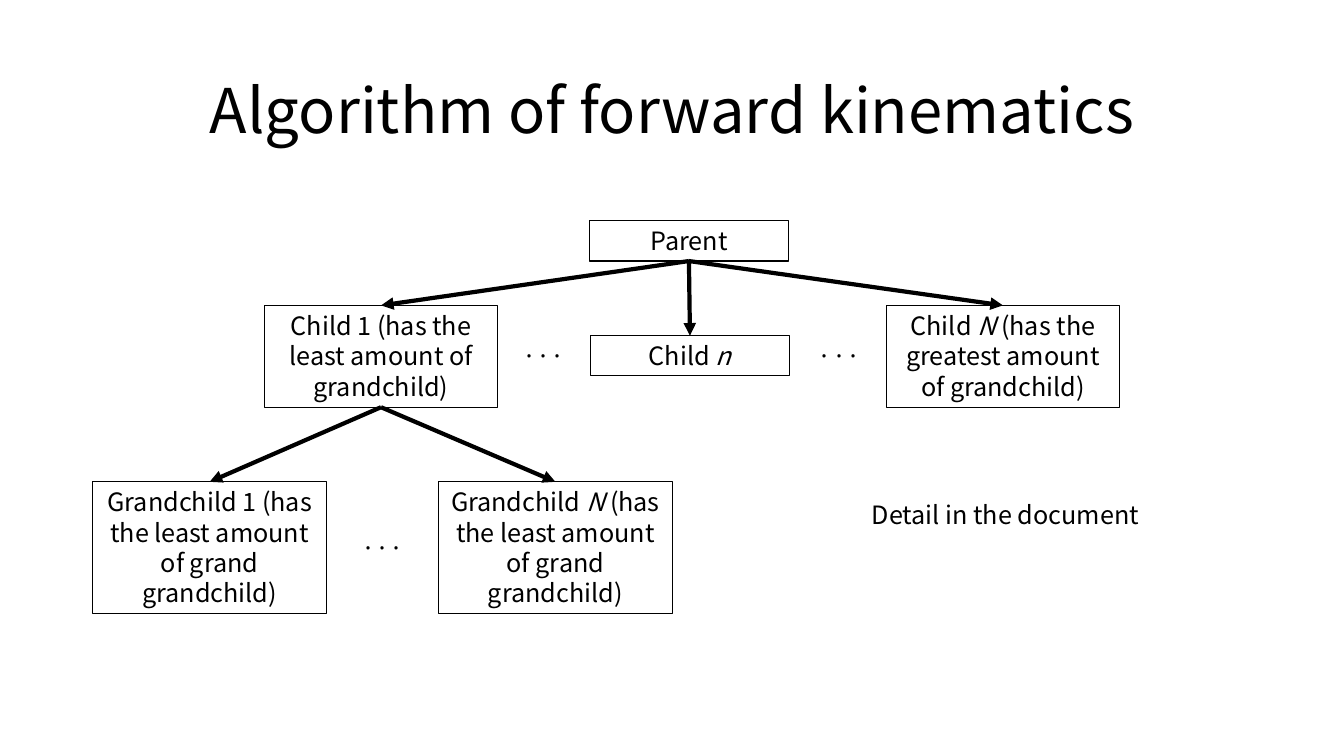
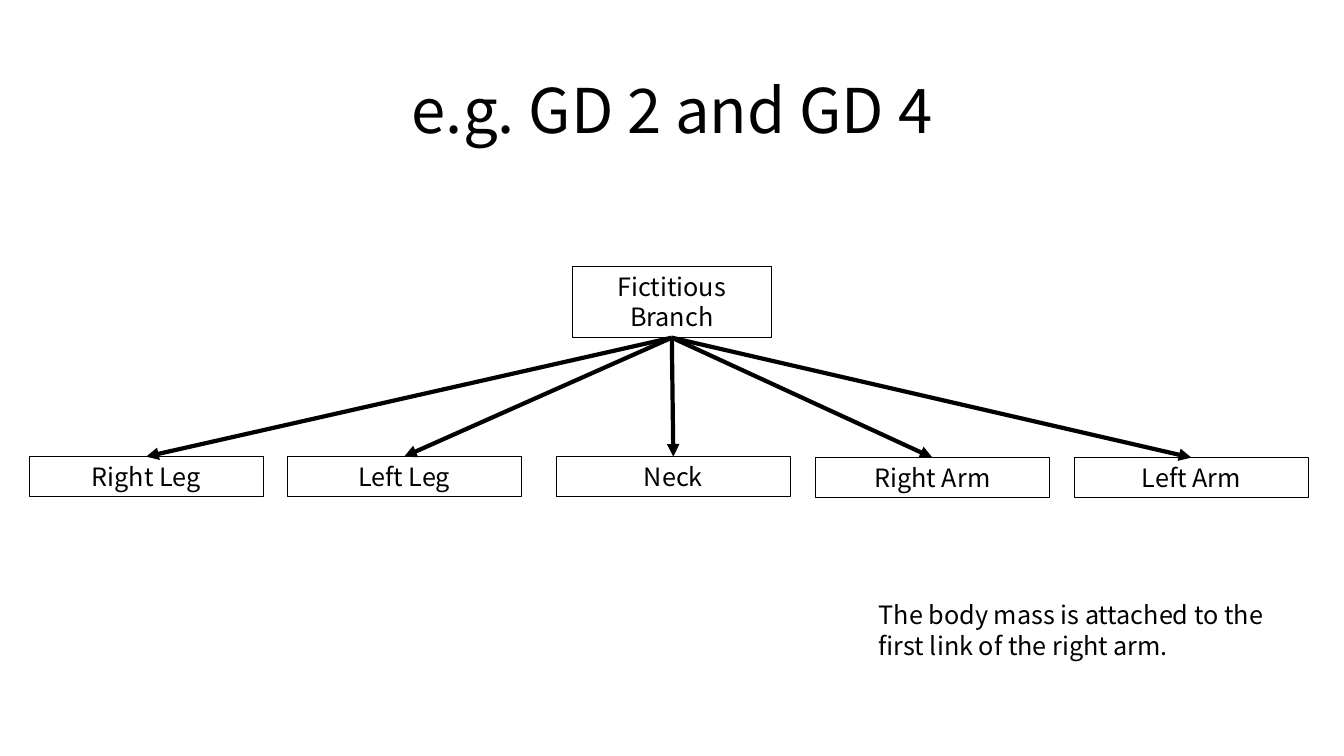
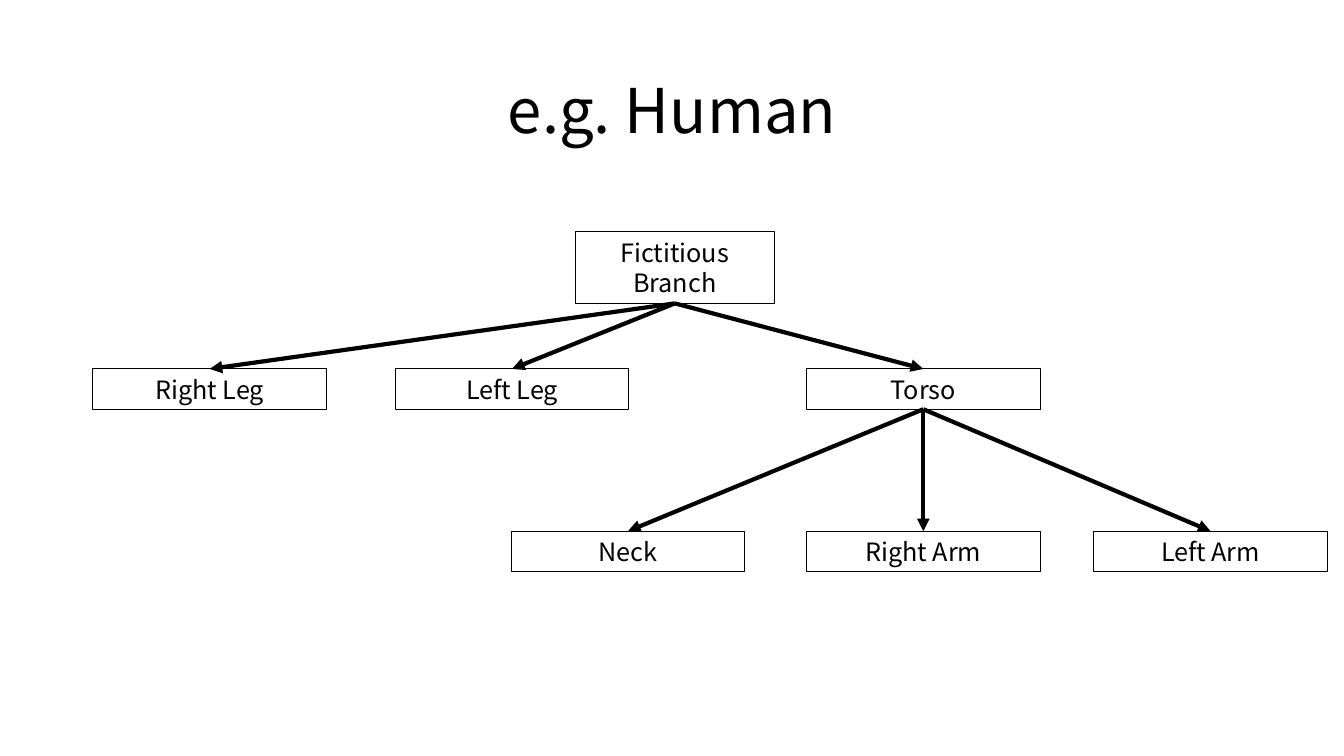
import lxml.etree
import pptx
import pptx.dml.color
import pptx.enum.shapes
import pptx.enum.text
import pptx.oxml.ns
import pptx.util

PX = 9144  # EMU: 100 px to the inch
FONT = "Noto Sans CJK KR"
BLACK = pptx.dml.color.RGBColor(0, 0, 0)
ALIGN = pptx.enum.text.PP_ALIGN
ANCHOR = pptx.enum.text.MSO_ANCHOR
RECTANGLE = pptx.enum.shapes.MSO_SHAPE.RECTANGLE
STRAIGHT = pptx.enum.shapes.MSO_CONNECTOR.STRAIGHT
BOTTOM_SITE, TOP_SITE = 2, 0

ROOT_WIDTH, NODE_WIDTH = 197, 232
HEIGHTS = {1: 40, 2: 71, 3: 101, 4: 131}  # by number of text lines

# Node: key, text (*italic*), left, top, width, lines, key of its parent
# Note: text, left, top, width, lines, alignment
SLIDES = [
    {
        "title": "Algorithm of forward kinematics",
        "nodes": [
            ("parent", "Parent", 585, 219, ROOT_WIDTH, 1, None),
            ("first", "Child 1 (has the least amount of grandchild)",
             262, 303, NODE_WIDTH, 3, "parent"),
            ("last", "Child *N* (has the greatest amount of grandchild)",
             879, 303, NODE_WIDTH, 3, "parent"),
            ("middle", "Child *n*", 586, 333, ROOT_WIDTH, 1, "parent"),
            ("grand first", "Grandchild 1 (has the least amount of grand grandchild)",
             92, 478, NODE_WIDTH, 4, "first"),
            ("grand last", "Grandchild *N* (has the least amount of grand grandchild)",
             435, 478, NODE_WIDTH, 4, "first"),
        ],
        "notes": [
            ("···", 503, 333, 73, 1, ALIGN.CENTER),
            ("···", 796, 333, 73, 1, ALIGN.CENTER),
            ("···", 343, 523, 73, 1, ALIGN.CENTER),
            ("Detail in the document", 855, 490, 310, 1, ALIGN.LEFT),
        ],
    },
    {
        "title": "e.g. GD 2 and GD 4",
        "nodes": [
            ("root", "Fictitious Branch", 568, 264, ROOT_WIDTH, 2, None),
            ("right leg", "Right Leg", 29, 453, NODE_WIDTH, 1, "root"),
            ("left leg", "Left Leg", 285, 453, NODE_WIDTH, 1, "root"),
            ("neck", "Neck", 552, 453, NODE_WIDTH, 1, "root"),
            ("right arm", "Right Arm", 809, 454, NODE_WIDTH, 1, "root"),
            ("left arm", "Left Arm", 1066, 454, NODE_WIDTH, 1, "root"),
        ],
        "notes": [
            ("The body mass is attached to the first link of the right arm.",
             862, 590, 418, 2, ALIGN.LEFT),
        ],
    },
    {
        "title": "e.g. Human",
        "nodes": [
            ("root", "Fictitious Branch", 571, 230, ROOT_WIDTH, 2, None),
            ("right leg", "Right Leg", 92, 366, NODE_WIDTH, 1, "root"),
            ("left leg", "Left Leg", 392, 366, NODE_WIDTH, 1, "root"),
            ("torso", "Torso", 800, 366, NODE_WIDTH, 1, "root"),
            ("neck", "Neck", 507, 527, NODE_WIDTH, 1, "torso"),
            ("right arm", "Right Arm", 800, 527, NODE_WIDTH, 1, "torso"),
            ("left arm", "Left Arm", 1085, 527, NODE_WIDTH, 1, "torso"),
        ],
        "notes": [],
    },
]


def write_text(box, text, size=18, align=ALIGN.CENTER, anchor=ANCHOR.TOP, spacing=1.0):
    """Fill a box with one paragraph; parts between asterisks are italic."""
    frame = box.text_frame
    frame.word_wrap = True
    frame.vertical_anchor = anchor
    para = frame.paragraphs[0]
    para.alignment = align
    para.line_spacing = spacing
    for index, part in enumerate(text.split("*")):
        if not part:
            continue
        span = para.add_run()
        span.text = part
        span.font.size = pptx.util.Pt(size)
        span.font.italic = index % 2 == 1
        span.font.color.rgb = BLACK
        span.font.name = FONT
        east_asian = lxml.etree.SubElement(
            span._r.get_or_add_rPr(), pptx.oxml.ns.qn("a:ea"))
        east_asian.set("typeface", FONT)


def add_arrow(page, parent, child):
    arrow = page.shapes.add_connector(STRAIGHT, 0, 0, 0, 0)
    arrow.begin_connect(parent, BOTTOM_SITE)
    arrow.end_connect(child, TOP_SITE)
    arrow.line.color.rgb = BLACK
    arrow.line.width = pptx.util.Pt(3)
    head = lxml.etree.SubElement(
        arrow.line._get_or_add_ln(), pptx.oxml.ns.qn("a:tailEnd"))
    head.set("type", "triangle")
    lxml.etree.SubElement(arrow._element.spPr, pptx.oxml.ns.qn("a:effectLst"))


deck = pptx.Presentation()
deck.slide_width = pptx.util.Emu(12192000)
deck.slide_height = 750 * PX

for content in SLIDES:
    page = deck.slides.add_slide(deck.slide_layouts[6])
    title = page.shapes.add_textbox(92 * PX, 40 * PX, 1150 * PX, 145 * PX)
    write_text(title, content["title"], size=44, anchor=ANCHOR.MIDDLE, spacing=0.9)

    boxes = {}
    for key, text, left, top, width, lines, parent in content["nodes"]:
        box = page.shapes.add_shape(
            RECTANGLE, left * PX, top * PX, width * PX, HEIGHTS[lines] * PX)
        box.shadow.inherit = False
        box.fill.background()
        box.line.color.rgb = BLACK
        box.line.width = pptx.util.Pt(0.75)
        write_text(box, text)
        boxes[key] = box

    for key, *_, parent in content["nodes"]:
        if parent:
            add_arrow(page, boxes[parent], boxes[key])

    for text, left, top, width, lines, align in content["notes"]:
        note = page.shapes.add_textbox(
            left * PX, top * PX, width * PX, HEIGHTS[lines] * PX)
        write_text(note, text, align=align)

deck.save("out.pptx")
